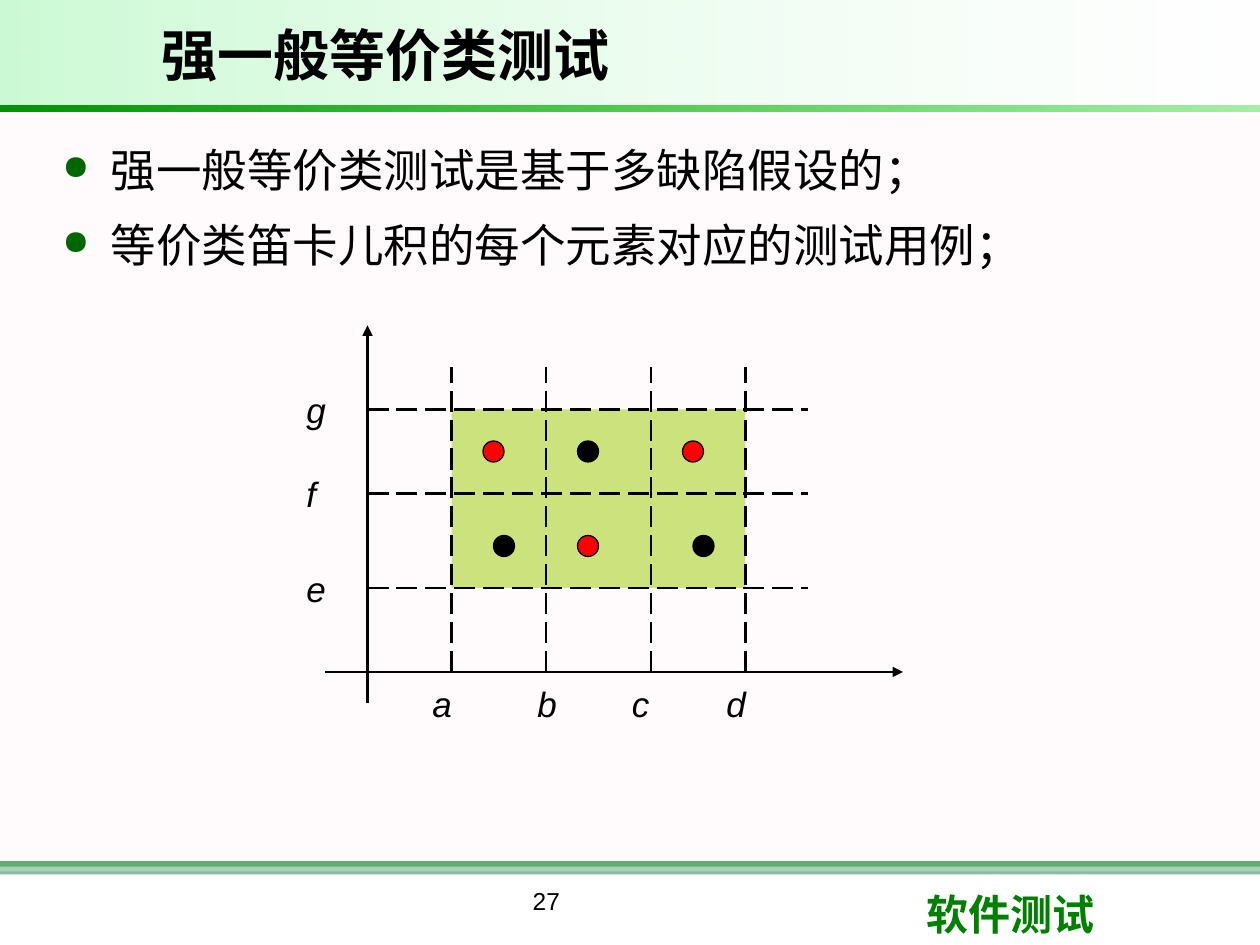
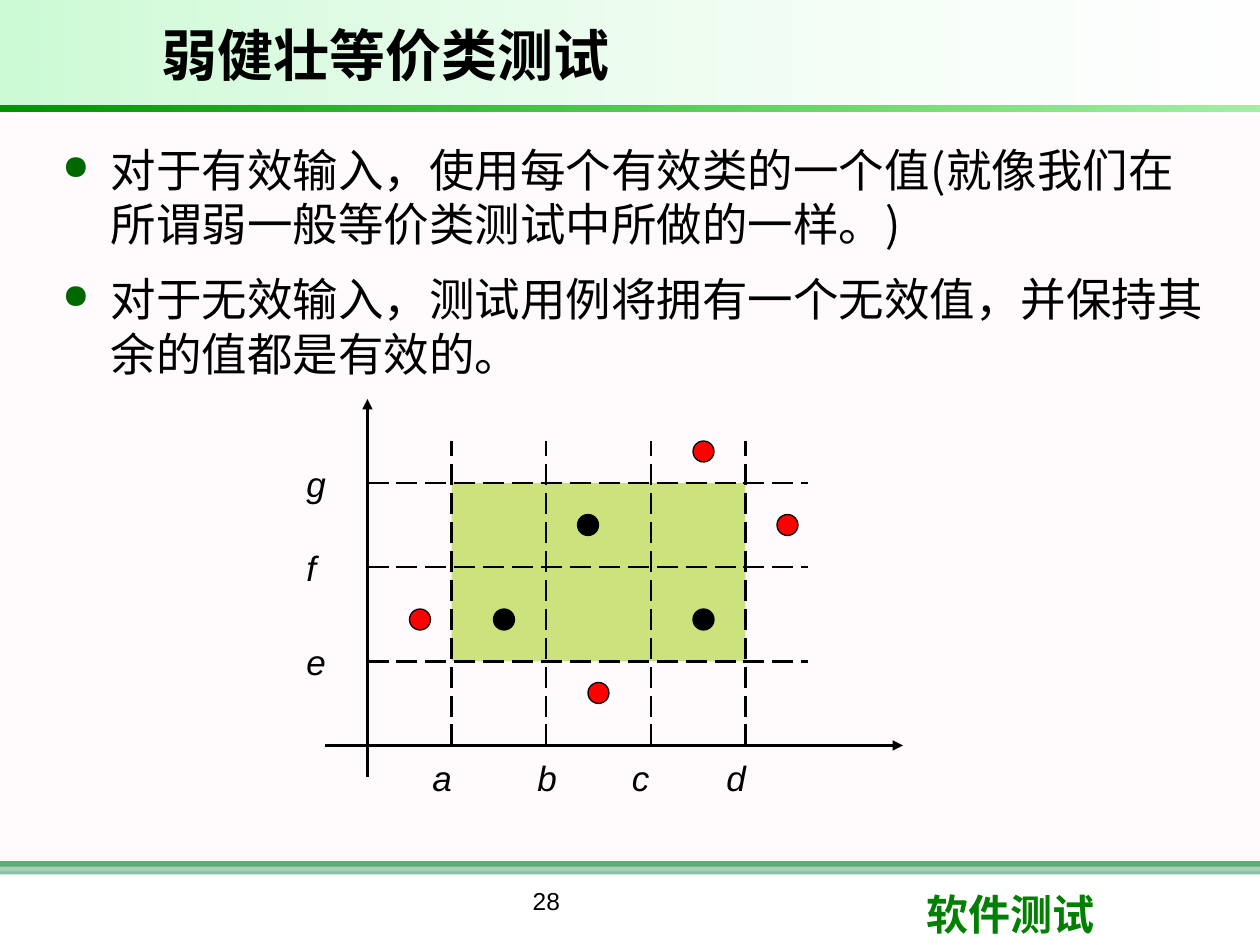
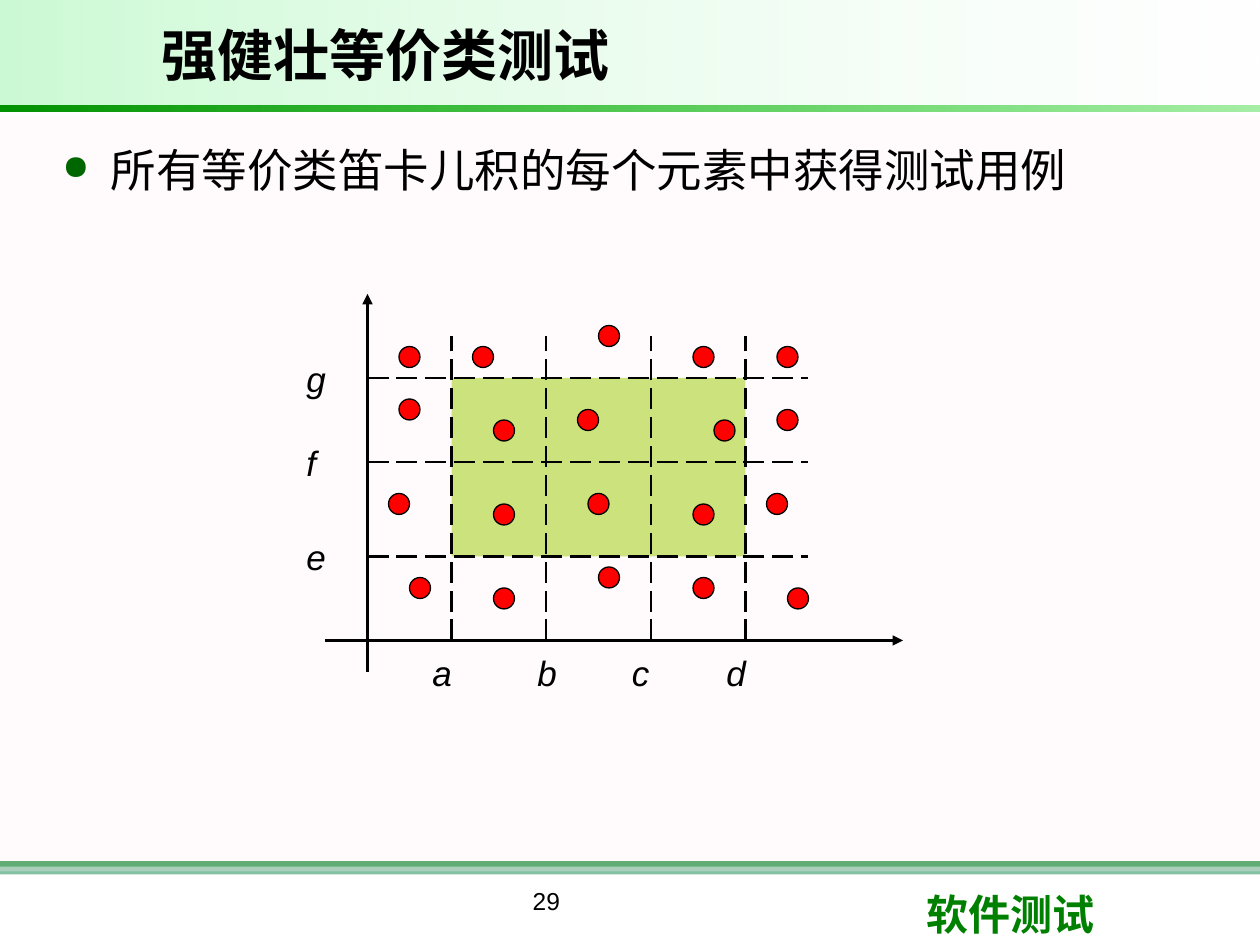
from dataclasses import dataclass
from typing import NamedTuple

from pptx import Presentation
from pptx import util as u
from pptx.dml.color import RGBColor
from pptx.enum import dml, shapes, text
from pptx.oxml import ns
from lxml import etree

COLORS = {
    "ink": "000000", "red": "FF0000", "white": "FFFFFF", "brand": "008000",
    "sea": "339966", "blush": "FFF0F5", "mint": "09E733", "lime": "00CC00",
    "forest": "009200", "bullet": "006600", "valid": "99CC00",
}
CJK = "Noto Sans CJK SC"
UNIT = 2.54 / 12  # diagram grid step in centimetres
ORIGIN_X = 35
DOT = 2


class Box(NamedTuple):
    left: float
    top: float
    width: float
    height: float

    def cm(self) -> list:
        return [u.Cm(v) for v in self]


class Band(NamedTuple):
    box: Box
    colors: tuple  # one colour for a solid, two for a gradient
    alphas: tuple  # opacity in percent, one for each colour


@dataclass
class Topic:
    number: int
    title: str
    bullets: list
    origin_y: int  # grid steps from the top of the slide
    red: list  # dot centres, in grid steps from the origin
    black: tuple = ()


BANDS = [
    Band(Box(0, 17.36, 25.4, 0.11), ("brand",), (100,)),
    Band(Box(0, 17.36, 25.4, 0.27), ("sea",), (60,)),
    Band(Box(0, 2.33, 25.4, 15.24), ("blush",), (30,)),
    Band(Box(0, 0, 25.38, 2.12), ("white", "mint"), (10, 21)),
    Band(Box(0, 2.12, 25.4, 0.13), ("lime", "forest"), (35, 100)),
]
TITLE = Box(3, 0.2, 17.7, 1.8)
BODY = Box(0.99, 2.74, 23.77, 14.17)
NUMBER = Box(6.99, 17.73, 8.05, 1.32)
COURSE = Box(18.42, 17.78, 6.02, 1.27)

COLUMNS = {"a": 8, "b": 17, "c": 27, "d": 36}
ROWS = {"e": 8, "f": 17, "g": 25}
WEAK_DOTS = ((32, 12), (13, 12), (21, 21))

TOPICS = [
    Topic(27, "强一般等价类测试",
          ["强一般等价类测试是基于多缺陷假设的；",
           "等价类笛卡儿积的每个元素对应的测试用例；"],
          64, [(21, 12), (31, 21), (12, 21)], WEAK_DOTS),
    Topic(28, "弱健壮等价类测试",
          ["对于有效输入，使用每个有效类的一个值(就像我们在所谓弱一般等价类测试中所做的一样。)",
           "对于无效输入，测试用例将拥有一个无效值，并保持其余的值都是有效的。"],
          71, [(5, 12), (32, 28), (22, 5), (40, 21)], WEAK_DOTS),
    Topic(29, "强健壮等价类测试",
          ["所有等价类笛卡儿积的每个元素中获得测试用例"],
          61, [(4, 27), (11, 27), (23, 29), (32, 27), (40, 27),
               (4, 22), (13, 20), (21, 21), (34, 20), (40, 21),
               (3, 13), (13, 12), (22, 13), (32, 12), (39, 13),
               (5, 5), (13, 4), (23, 6), (32, 5), (41, 4)]),
]


def rgb(name: str) -> RGBColor:
    return RGBColor.from_string(COLORS[name])


def add_xml(parent, tag: str, **attrs):
    return etree.SubElement(parent, ns.qn(tag), attrs)


def write(p, content: str, size: float, font: str, color: str = "ink", **style) -> None:
    r = p.add_run()
    r.text = content
    for key, value in {"size": u.Pt(size), "name": font, **style}.items():
        setattr(r.font, key, value)
    r.font.color.rgb = rgb(color)
    add_xml(r._r.get_or_add_rPr(), "a:ea", typeface=CJK)


def add_text_frame(container, box: Box, **settings):
    sp = container.add_textbox(*box.cm())
    for key, value in {"word_wrap": True, **settings}.items():
        setattr(sp.text_frame, key, value)
    return sp


def add_filled(container, kind, box: Box, colors: tuple, alphas: tuple = (100,)):
    sp = container.add_shape(kind, *box.cm())
    sp.shadow.inherit = False
    sp.line.fill.background()
    if len(colors) == 1:
        sp.fill.solid()
        sp.fill.fore_color.rgb = rgb(colors[0])
    else:
        sp.fill.gradient()
        sp.fill.gradient_angle = 0
        for stop, color in zip(sp.fill.gradient_stops, colors):
            stop.color.rgb = rgb(color)
    for clr, alpha in zip(list(sp.element.spPr.iter(ns.qn("a:srgbClr"))), alphas):
        if alpha < 100:
            add_xml(clr, "a:alpha", val=str(alpha * 1000))
    return sp


# Shared bands and course name, kept on the layout
def dress_layout(layout, s) -> None:
    parts = []
    for band in BANDS:
        sp = add_filled(s.shapes, shapes.MSO_SHAPE.RECTANGLE, *band)
        if len(band.colors) > 1:
            sp.rotation = 180
        parts.append(sp)
    course = add_text_frame(s.shapes, COURSE)
    write(course.text_frame.paragraphs[0], "软件测试", 24, "Lato", "brand", bold=True)
    parts.append(course)
    for i, sp in enumerate(parts):
        sp.element.nvSpPr.cNvPr.set("id", str(100 + i))
        layout.shapes.element.insert(2 + i, sp.element)


# Title, bullets and page number
def add_title(s, content: str) -> None:
    sp = s.shapes.title
    for key, value in zip(("left", "top", "width", "height"), TITLE.cm()):
        setattr(sp, key, value)
    tf = sp.text_frame
    tf.vertical_anchor = text.MSO_ANCHOR.MIDDLE
    p = tf.paragraphs[0]
    p.alignment = text.PP_ALIGN.LEFT
    write(p, content, 32, "Arial", bold=True)


def add_bullets(s, items: list) -> None:
    tf = add_text_frame(s.shapes, BODY).text_frame
    for i, item in enumerate(items):
        p = tf.add_paragraph() if i else tf.paragraphs[0]
        for key, value in {"space_before": 6, "space_after": 6, "line_spacing": 31}.items():
            setattr(p, key, u.Pt(value))
        pPr = p._p.get_or_add_pPr()
        pPr.set("marL", str(u.Cm(0.99)))
        pPr.set("indent", str(-u.Cm(0.97)))
        add_xml(add_xml(pPr, "a:buClr"), "a:srgbClr", val=COLORS["bullet"])
        add_xml(pPr, "a:buSzPct", val="75000")
        add_xml(pPr, "a:buChar", char="●")
        write(p, item, 26, CJK)


def add_number(s, number: int) -> None:
    p = add_text_frame(s.shapes, NUMBER).text_frame.paragraphs[0]
    p.alignment = text.PP_ALIGN.CENTER
    write(p, str(number), 14, "Arial")


# Diagram, in grid steps right of and above the origin
def grid_box(x: float, y: float, width: float, height: float, origin_y: int) -> Box:
    return Box(*(v * UNIT for v in (ORIGIN_X + x, origin_y - y, width, height)))


def add_line(container, start: tuple, end: tuple, origin_y: int, arrow: bool = False) -> None:
    ends = [u.Cm(v * UNIT) for x, y in (start, end) for v in (ORIGIN_X + x, origin_y - y)]
    c = container.add_connector(shapes.MSO_CONNECTOR.STRAIGHT, *ends)
    c.line.color.rgb = rgb("ink")
    c.line.width = u.Pt(1.5)
    if arrow:
        add_xml(c.element.spPr.find(ns.qn("a:ln")), "a:tailEnd", type="triangle")
    else:
        c.line.dash_style = dml.MSO_LINE.LONG_DASH
    add_xml(c.element.spPr, "a:effectLst")


def add_label(container, name: str, x: float, y: float, origin_y: int) -> None:
    sp = add_text_frame(container, grid_box(x, y, 6, 4, origin_y),
                        word_wrap=False, vertical_anchor=text.MSO_ANCHOR.MIDDLE)
    write(sp.text_frame.paragraphs[0], name, 20, "Arial", italic=True)


def add_diagram(s, origin_y: int) -> None:
    g = s.shapes.add_group_shape().shapes
    add_line(g, (-4, 0), (51, 0), origin_y, arrow=True)
    add_line(g, (0, -3), (0, 33), origin_y, arrow=True)
    valid = grid_box(COLUMNS["a"], ROWS["g"], COLUMNS["d"] - COLUMNS["a"],
                     ROWS["g"] - ROWS["e"], origin_y)
    add_filled(g, shapes.MSO_SHAPE.RECTANGLE, valid, ("valid",), (50,))
    for name, y in ROWS.items():
        add_line(g, (0, y), (42, y), origin_y)
        add_label(g, name, -7, y + 2, origin_y)
    for name, x in COLUMNS.items():
        add_line(g, (x, 0), (x, 29), origin_y)
        add_label(g, name, x - (2 if name == "b" else 3), -1, origin_y)


def add_dots(s, centres, color: str, origin_y: int) -> None:
    for x, y in centres:
        box = grid_box(x - DOT / 2, y + DOT / 2, DOT, DOT, origin_y)
        sp = add_filled(s.shapes, shapes.MSO_SHAPE.OVAL, box, (color,))
        sp.line.color.rgb = rgb("ink")
        sp.line.width = u.Pt(0.75)


def main() -> None:
    prs = Presentation()
    prs.slide_width, prs.slide_height = u.Cm(25.4), u.Cm(19.05)
    layout = prs.slide_layouts.get_by_name("Title Only")
    for i, topic in enumerate(TOPICS):
        s = prs.slides.add_slide(layout)
        if i == 0:
            dress_layout(layout, s)
        add_title(s, topic.title)
        add_bullets(s, topic.bullets)
        add_number(s, topic.number)
        add_diagram(s, topic.origin_y)
        add_dots(s, topic.black, "ink", topic.origin_y)
        add_dots(s, topic.red, "red", topic.origin_y)
    prs.save("out.pptx")


if __name__ == "__main__":
    main()
